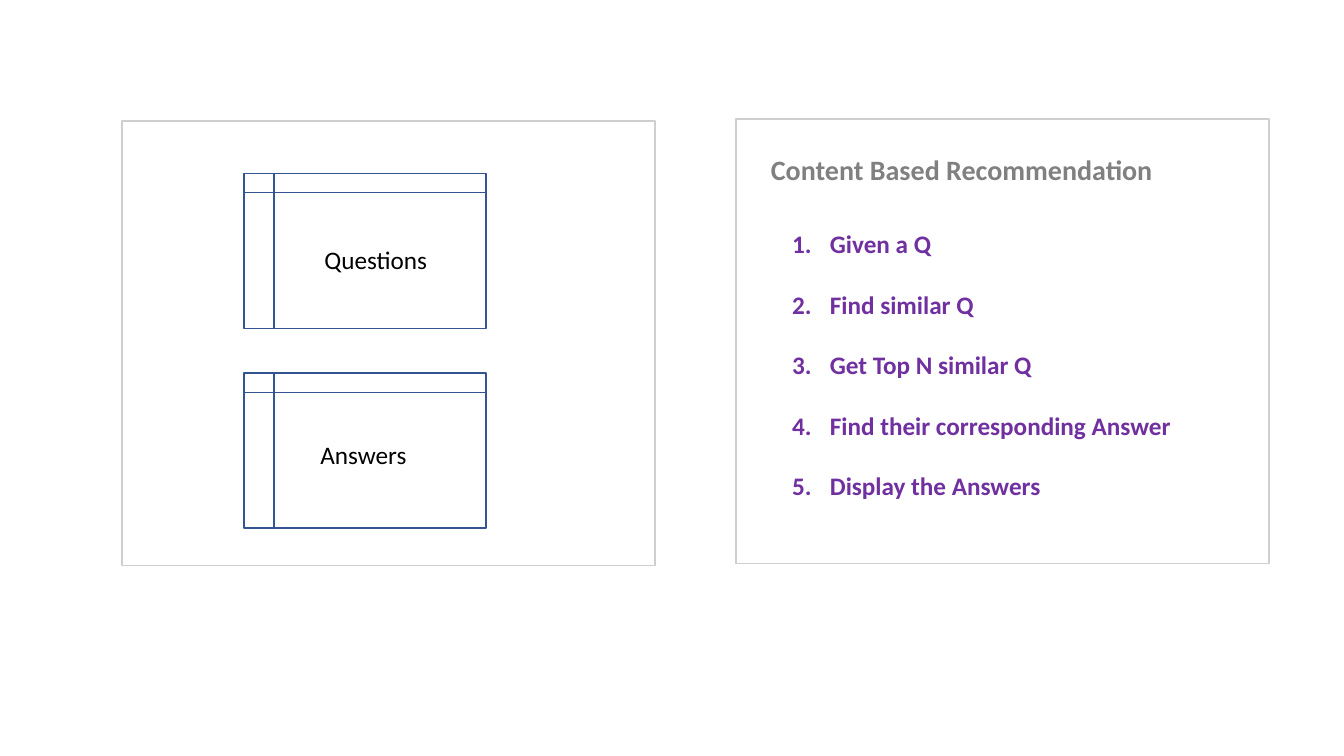
from lxml.etree import SubElement
from pptx import Presentation
from pptx.dml.color import RGBColor
from pptx.enum.shapes import MSO_SHAPE as SHAPE
from pptx.oxml.ns import qn
from pptx.util import Pt

# Content
HEADING = "Content Based Recommendation"
STEPS = [
    "Given a Q",
    "Find similar Q",
    "Get Top N similar Q",
    "Find their corresponding Answer",
    "Display the Answers",
]
# Label, store top, label left, label top
STORES = [
    ("Questions", 123.84, 224.64, 170.64),
    ("Answers", 266.4, 221.76, 310.32),
]
PANELS = [(87.12, 86.4), (525.6, 84.96)]

# Format
FONT = "Calibri"
WHITE = RGBColor(0xFF, 0xFF, 0xFF)
BLACK = RGBColor(0x00, 0x00, 0x00)
LIGHT_GRAY = RGBColor(0xD0, 0xCE, 0xCE)
GRAY = RGBColor(0x80, 0x80, 0x80)
BLUE = RGBColor(0x32, 0x54, 0x91)
PURPLE = RGBColor(0x70, 0x30, 0xA0)
PANEL_W, PANEL_H = 380.88, 317.52
STORE_LEFT, STORE_W, STORE_H = 174.24, 172.8, 110.88
TEXT_W = 329.04
STEP_INDENT = 27
STEP_GAP = 21.6

prs = Presentation()
prs.slide_width, prs.slide_height = Pt(960), Pt(540)
s = prs.slides.add_slide(prs.slide_layouts[6])


def add_box(kind, left, top, width, height, line, fill=None):
    sp = s.shapes.add_shape(kind, Pt(left), Pt(top), Pt(width), Pt(height))
    sp.shadow.inherit = False
    if fill is None:
        sp.fill.background()
    else:
        sp.fill.solid()
        sp.fill.fore_color.rgb = fill
    sp.line.color.rgb = line
    sp.line.width = Pt(1)


def number(p):
    pPr = p._p.get_or_add_pPr()
    pPr.set("marL", str(Pt(STEP_INDENT)))
    pPr.set("indent", str(-Pt(STEP_INDENT)))
    SubElement(pPr, qn("a:buFont"), typeface="+mj-lt")
    SubElement(pPr, qn("a:buAutoNum"), type="arabicPeriod")


def add_text(lines, left, top, width, height, size=18, color=BLACK,
             bold=False, numbered=False, gap=0):
    tf = s.shapes.add_textbox(Pt(left), Pt(top), Pt(width), Pt(height)).text_frame
    tf.word_wrap = True
    for i, line in enumerate(lines):
        p = tf.add_paragraph() if i else tf.paragraphs[0]
        if i and gap:
            p.space_before = Pt(gap)
        if numbered:
            number(p)
        r = p.add_run()
        r.text = line
        r.font.name, r.font.size, r.font.bold = FONT, Pt(size), bold
        r.font.color.rgb = color


# Panels
for left, top in PANELS:
    add_box(SHAPE.RECTANGLE, left, top, PANEL_W, PANEL_H, LIGHT_GRAY, WHITE)

# Data stores
for label, top, label_left, label_top in STORES:
    add_box(SHAPE.FLOWCHART_INTERNAL_STORAGE, STORE_LEFT, top, STORE_W, STORE_H, BLUE)
    add_text([label], label_left, label_top, 103.68, 28.8)

# Recommendation steps
add_text(STEPS, 558.72, 159.84, TEXT_W, 203.76, color=PURPLE, bold=True,
         numbered=True, gap=STEP_GAP)
add_text([HEADING], 543.6, 105.12, TEXT_W, 31.68, size=20, color=GRAY, bold=True)

prs.save("out.pptx")
